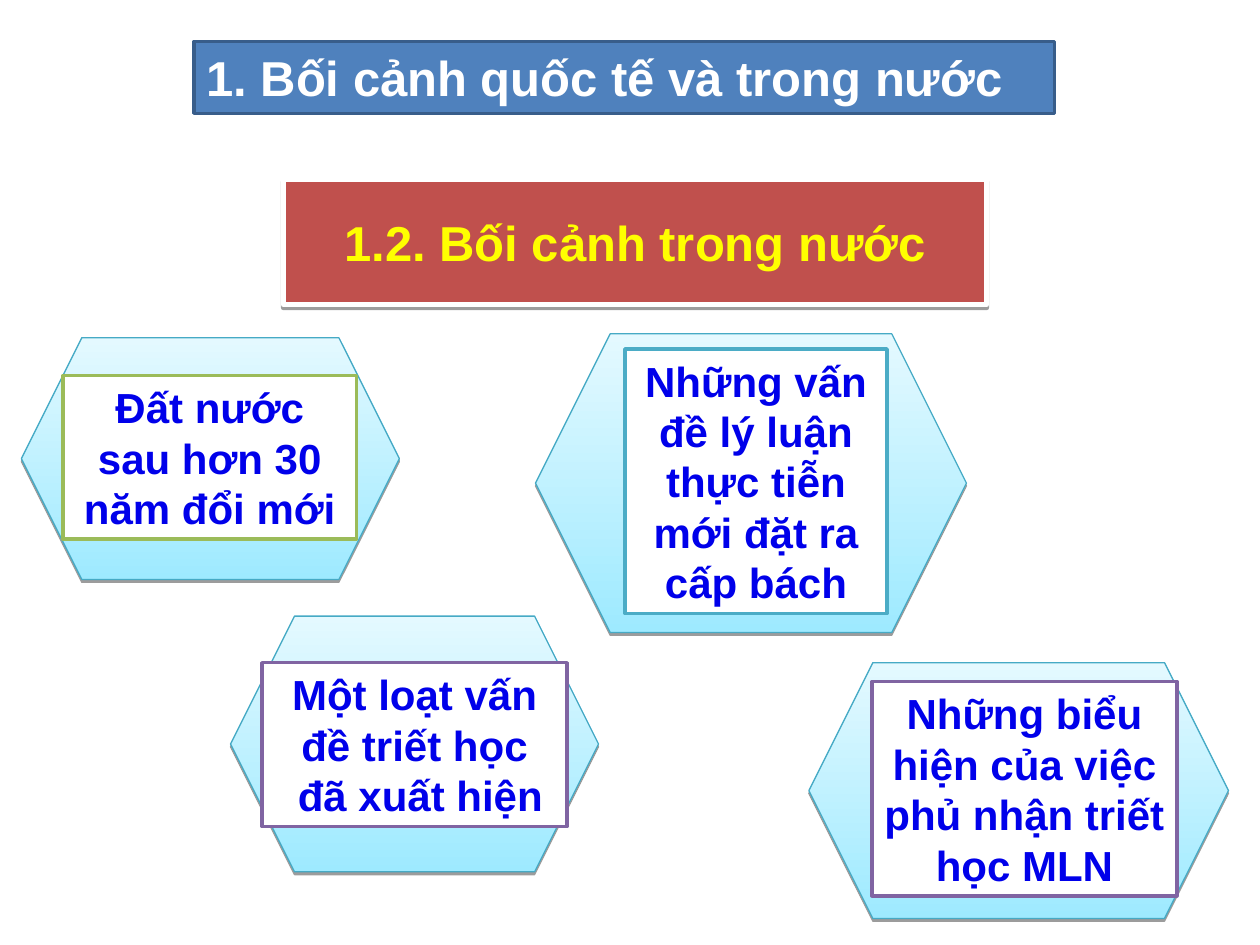
from dataclasses import dataclass

from lxml import etree
from pptx import Presentation
from pptx.dml.color import RGBColor
from pptx.enum.shapes import MSO_SHAPE
from pptx.enum.text import MSO_ANCHOR, PP_ALIGN
from pptx.oxml.ns import qn
from pptx.util import Inches, Pt

RECTANGLE, HEXAGON = MSO_SHAPE.RECTANGLE, MSO_SHAPE.HEXAGON
TOP, MIDDLE = MSO_ANCHOR.TOP, MSO_ANCHOR.MIDDLE
LEFT, CENTER = PP_ALIGN.LEFT, PP_ALIGN.CENTER


@dataclass(frozen=True)
class Theme:
    font: str = "Arial"
    heading_size: int = 28
    label_size: int = 24
    white: str = "FFFFFF"
    yellow: str = "FFFF00"
    blue: str = "4F81BD"
    dark_blue: str = "385D8A"
    red: str = "C0504D"
    label_text: str = "0000EA"
    hexagon_bottom: str = "9EEAFF"
    hexagon_top: str = "E4F9FF"
    hexagon_line: str = "46AAC5"
    green: str = "9BBB59"
    aqua: str = "4BACC6"
    purple: str = "8064A2"


THEME = Theme()

# Each point: hexagon box, label box, border colour, paragraphs
POINTS = [
    ((0.17, 2.68, 3, 1.92), (0.5, 2.98, 2.33, 1.3), THEME.green,
     ["Đất nước sau hơn 30 năm đổi mới"]),
    ((4.25, 2.65, 3.42, 2.37), (4.96, 2.77, 2.08, 2.1), THEME.aqua,
     ["Những vấn đề lý luận thực tiễn mới đặt ra cấp bách"]),
    ((1.83, 4.89, 2.92, 2.03), (2.08, 5.26, 2.42, 1.3), THEME.purple,
     ["Một loạt vấn đề triết học", " đã xuất hiện"]),
    ((6.42, 5.26, 3.33, 2.03), (6.92, 5.41, 2.42, 1.7), THEME.purple,
     ["Những biểu hiện của việc phủ nhận triết học MLN"]),
]


def add_shape(page, kind, box, line_color, line_width):
    shape = page.shapes.add_shape(kind, *map(Inches, box))
    shape.shadow.inherit = False
    shape.line.color.rgb = RGBColor.from_string(line_color)
    shape.line.width = Pt(line_width)
    return shape


def fill_solid(shape, color):
    shape.fill.solid()
    shape.fill.fore_color.rgb = RGBColor.from_string(color)


def add_drop_shadow(shape):
    effects = shape._element.spPr.find(qn("a:effectLst"))
    shadow = etree.SubElement(effects, qn("a:outerShdw"), blurRad="0",
                              dist=str(Pt(1.6)), dir="5400000", rotWithShape="0")
    color = etree.SubElement(shadow, qn("a:srgbClr"), val="000000")
    etree.SubElement(color, qn("a:alpha"), val="38000")


def write_text(shape, lines, size, color, align=CENTER, anchor=TOP):
    frame = shape.text_frame
    frame.word_wrap = True
    frame.vertical_anchor = anchor
    for index, line in enumerate(lines):
        para = frame.add_paragraph() if index else frame.paragraphs[0]
        para.alignment = align
        span = para.add_run()
        span.text = line
        span.font.name = THEME.font
        span.font.size = Pt(size)
        span.font.bold = True
        span.font.color.rgb = RGBColor.from_string(color)


def add_section_title(page, box):
    title = add_shape(page, RECTANGLE, box, THEME.dark_blue, 2)
    fill_solid(title, THEME.blue)
    write_text(title, ["1. Bối cảnh quốc tế và trong nước"],
               THEME.heading_size, THEME.white, align=LEFT)


def add_subtitle(page, box):
    banner = add_shape(page, RECTANGLE, box, THEME.white, 3)
    fill_solid(banner, THEME.red)
    add_drop_shadow(banner)
    write_text(banner, ["1.2. Bối cảnh trong nước"],
               THEME.heading_size, THEME.yellow, anchor=MIDDLE)


def add_point(page, hexagon_box, label_box, border, lines):
    hexagon = add_shape(page, HEXAGON, hexagon_box, THEME.hexagon_line, 0.75)
    hexagon.fill.gradient()
    hexagon.fill.gradient_angle = 90
    colors = (THEME.hexagon_bottom, THEME.hexagon_top)
    for stop, color in zip(hexagon.fill.gradient_stops, colors):
        stop.color.rgb = RGBColor.from_string(color)
    add_drop_shadow(hexagon)

    label = add_shape(page, RECTANGLE, label_box, border, 2)
    fill_solid(label, THEME.white)
    write_text(label, lines, THEME.label_size, THEME.label_text)


def main():
    deck = Presentation()
    deck.slide_width, deck.slide_height = Inches(10), Inches(7.5)
    page = deck.slides.add_slide(deck.slide_layouts[6])

    # Headings
    add_subtitle(page, (2.25, 1.42, 5.58, 1))
    add_section_title(page, (1.54, 0.33, 6.83, 0.57))

    # Hexagons with their labels
    for point in POINTS:
        add_point(page, *point)

    deck.save("out.pptx")


if __name__ == "__main__":
    main()
